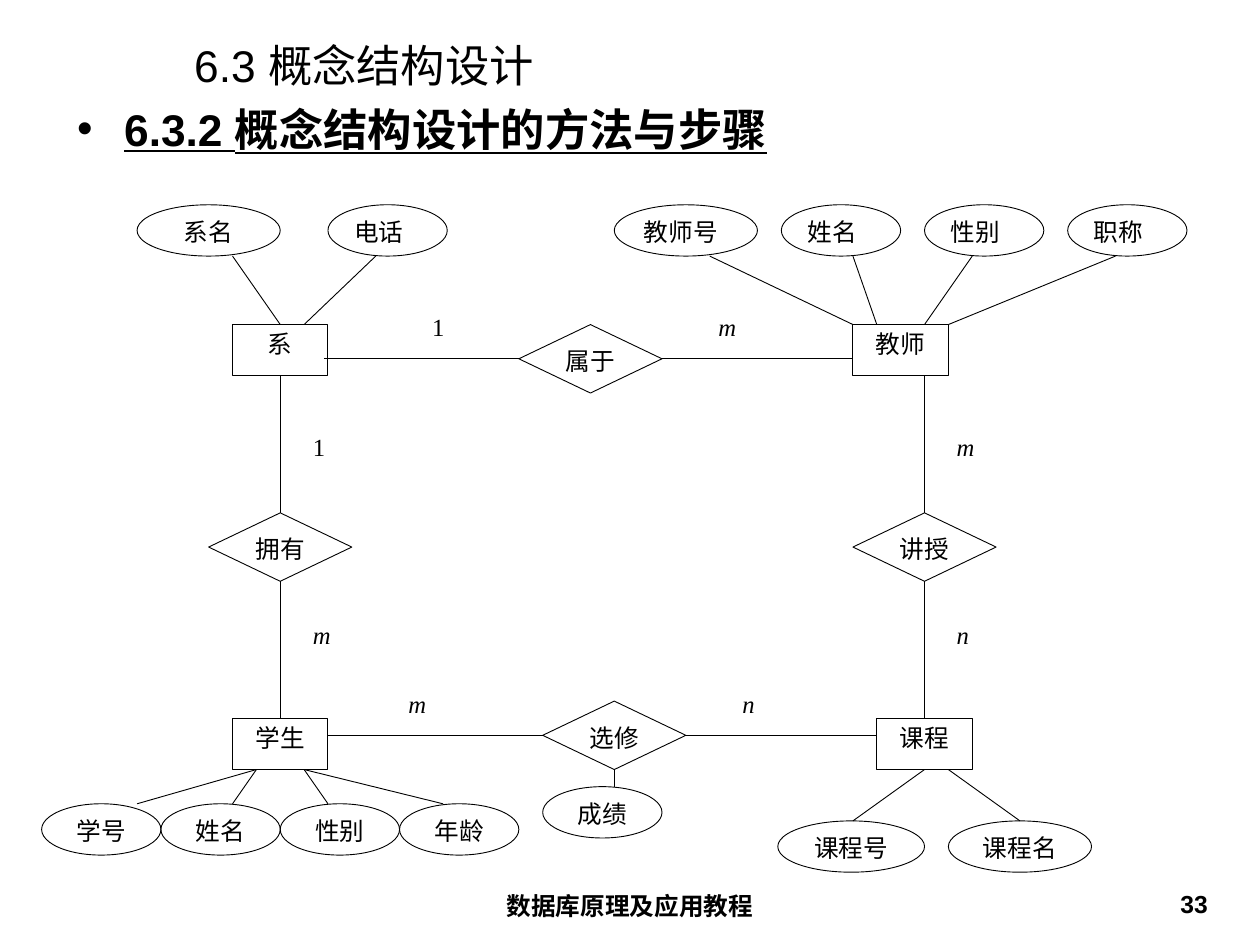
from dataclasses import dataclass
from typing import NamedTuple

from lxml.etree import SubElement
from pptx import Presentation
from pptx.dml.color import RGBColor as Rgb
from pptx.enum.shapes import MSO_CONNECTOR as Link, MSO_SHAPE as Kind
from pptx.enum.text import MSO_ANCHOR as Anchor, MSO_AUTO_SIZE as Fit, PP_ALIGN as Align
from pptx.oxml.ns import qn
from pptx.util import Inches, Pt


@dataclass(frozen=True)
class Theme:
    ink: Rgb = Rgb(0, 0, 0)
    sans: str = "Arial"
    serif: str = "Times New Roman"
    head: int = 36
    text: int = 20
    line: float = 0.75


class Box(NamedTuple):
    """Column, row, width and height in grid steps."""
    col: float
    row: float
    wide: float
    high: float


class Node(NamedTuple):
    text: str
    kind: Kind
    box: Box
    align: Align = Align.CENTER


class Mark(NamedTuple):
    text: str
    col: float
    row: float


class Edge(NamedTuple):
    x1: float
    y1: float
    x2: float
    y2: float


THEME = Theme()
WIDE, HIGH = 14.22, 10.66
# The diagram spans 43 columns and 36 rows; page text uses the same grid.
LEFT, TOP = 0.47, 2.31
COL, ROW = 11.58 / 43, 6.95 / 36


def across(col: float) -> int:
    return Inches(LEFT + col * COL)


def down(row: float) -> int:
    return Inches(TOP + row * ROW)


def place(box: Box) -> tuple[int, int, int, int]:
    return (across(box.col), down(box.row),
            Inches(box.wide * COL), Inches(box.high * ROW))


def oval(text: str, col: float, row: float, wide: float = 5,
         align: Align = Align.CENTER) -> Node:
    return Node(text, Kind.OVAL, Box(col, row, wide, 3), align)


def entity(text: str, col: float, row: float) -> Node:
    return Node(text, Kind.RECTANGLE, Box(col, row, 4, 3))


def rhomb(text: str, col: float, row: float) -> Node:
    return Node(text, Kind.DIAMOND, Box(col, row, 6, 4))


NODES = [
    oval("系名", 4, 0, 6),
    oval("电话", 12, 0, align=Align.LEFT),
    oval("教师号", 24, 0, 6, Align.LEFT),
    oval("姓名", 31, 0, align=Align.LEFT),
    oval("性别", 37, 0, align=Align.LEFT),
    oval("职称", 43, 0, align=Align.LEFT),
    *(oval(text, 5 * i, 35)
      for i, text in enumerate(["学号", "姓名", "性别", "年龄"])),
    oval("成绩", 21, 34),
    oval("课程号", 30.85, 36, 6.15),
    oval("课程名", 38, 36, 6),
    entity("系", 8, 7),
    entity("教师", 34, 7),
    entity("学生", 8, 30),
    entity("课程", 35, 30),
    rhomb("属于", 20, 7),
    rhomb("拥有", 7, 18),
    rhomb("讲授", 34, 18),
    rhomb("选修", 21, 29),
]

MARKS = [
    Mark("1", 16, 6), Mark("m", 28, 6),
    Mark("1", 11, 13), Mark("m", 37.98, 13),
    Mark("m", 11, 24), Mark("n", 37.98, 24),
    Mark("m", 15, 28), Mark("n", 29, 28),
]

EDGES = [
    # Department and teacher attributes
    Edge(8, 3, 10, 7), Edge(11, 7, 14, 3),
    Edge(28, 3, 34, 7), Edge(34, 3, 35, 7),
    Edge(39, 3, 37, 7), Edge(45, 3, 38, 7),
    # Relations between entities
    Edge(11.85, 9, 20, 9), Edge(26, 9, 34, 9),
    Edge(12, 31, 21, 31), Edge(27, 31, 35, 31),
    *(Edge(col, low, col, high)
      for col in (10, 37) for low, high in ((18, 10), (30, 22))),
    # Student, grade and course attributes
    Edge(9, 33, 4, 35), Edge(9, 33, 8, 35),
    Edge(11, 33, 12, 35), Edge(11, 33, 16.82, 35),
    Edge(24, 33, 24, 34),
    Edge(37, 33, 34, 36), Edge(38, 33, 41, 36),
]


def write(shape, text: str, size: int, face: str, align: Align = Align.LEFT,
          bold: bool = False, slant: bool = False, pad: float = 0.1):
    """Fill a shape with one styled paragraph and return it."""
    frame = shape.text_frame
    frame.word_wrap = True
    frame.auto_size = Fit.NONE
    frame.vertical_anchor = Anchor.TOP
    frame.margin_left = frame.margin_right = Inches(pad)
    frame.margin_top = frame.margin_bottom = Inches(pad / 2)
    para = frame.paragraphs[0]
    para.text = text
    para.alignment = align
    para.space_before = Pt(0)
    font = para.font
    font.name, font.size = face, Pt(size)
    font.bold, font.italic = bold, slant
    font.color.rgb = THEME.ink
    return para


def seat(shape, box: Box) -> None:
    shape.left, shape.top, shape.width, shape.height = place(box)


def stroke(line) -> None:
    line.color.rgb = THEME.ink
    line.width = Pt(THEME.line)


def draw_node(slide, node: Node) -> None:
    shape = slide.shapes.add_shape(node.kind, *place(node.box))
    shape.shadow.inherit = False
    shape.fill.background()
    stroke(shape.line)
    write(shape, node.text, THEME.text, THEME.serif, node.align)


def draw_mark(slide, mark: Mark) -> None:
    shape = slide.shapes.add_textbox(*place(Box(mark.col, mark.row, 3, 3)))
    write(shape, mark.text, THEME.text, THEME.serif, slant=mark.text.isalpha())


def draw_edge(slide, edge: Edge) -> None:
    link = slide.shapes.add_connector(
        Link.STRAIGHT, across(edge.x1), down(edge.y1),
        across(edge.x2), down(edge.y2))
    stroke(link.line)
    SubElement(link._element.spPr, qn("a:effectLst"))


def draw_heads(slide) -> None:
    title, body = slide.placeholders
    seat(title, Box(5.87, -9.63, 43.93, 2.95))
    write(title, "6.3 概念结构设计", THEME.head, THEME.sans, pad=0.14)
    title.text_frame.vertical_anchor = Anchor.MIDDLE
    seat(body, Box(0.97, -6.37, 47.53, 4.61))
    para = write(body, "6.3.2 概念结构设计的方法与步骤", THEME.head,
                 THEME.sans, bold=True, pad=0.14)
    para.font.underline = True
    props = para._p.get_or_add_pPr()
    props.set("marL", str(Inches(0.53)))
    props.set("indent", str(-Inches(0.53)))


def draw_foot(slide) -> None:
    for text, box, align, pad in (
        ("数据库原理及应用教程", Box(16.3, 39.73, 16.71, 2.85), Align.CENTER, 0.14),
        ("33", Box(36.91, 39.73, 12.33, 2.85), Align.RIGHT, 0.1),
    ):
        shape = slide.shapes.add_textbox(*place(box))
        write(shape, text, THEME.text, THEME.sans, align, bold=True, pad=pad)


def main() -> None:
    deck = Presentation()
    deck.slide_width, deck.slide_height = Inches(WIDE), Inches(HIGH)
    slide = deck.slides.add_slide(deck.slide_layouts[1])
    draw_heads(slide)
    draw_foot(slide)
    for draw, items in ((draw_edge, EDGES), (draw_node, NODES), (draw_mark, MARKS)):
        for item in items:
            draw(slide, item)
    deck.save("out.pptx")


if __name__ == "__main__":
    main()
